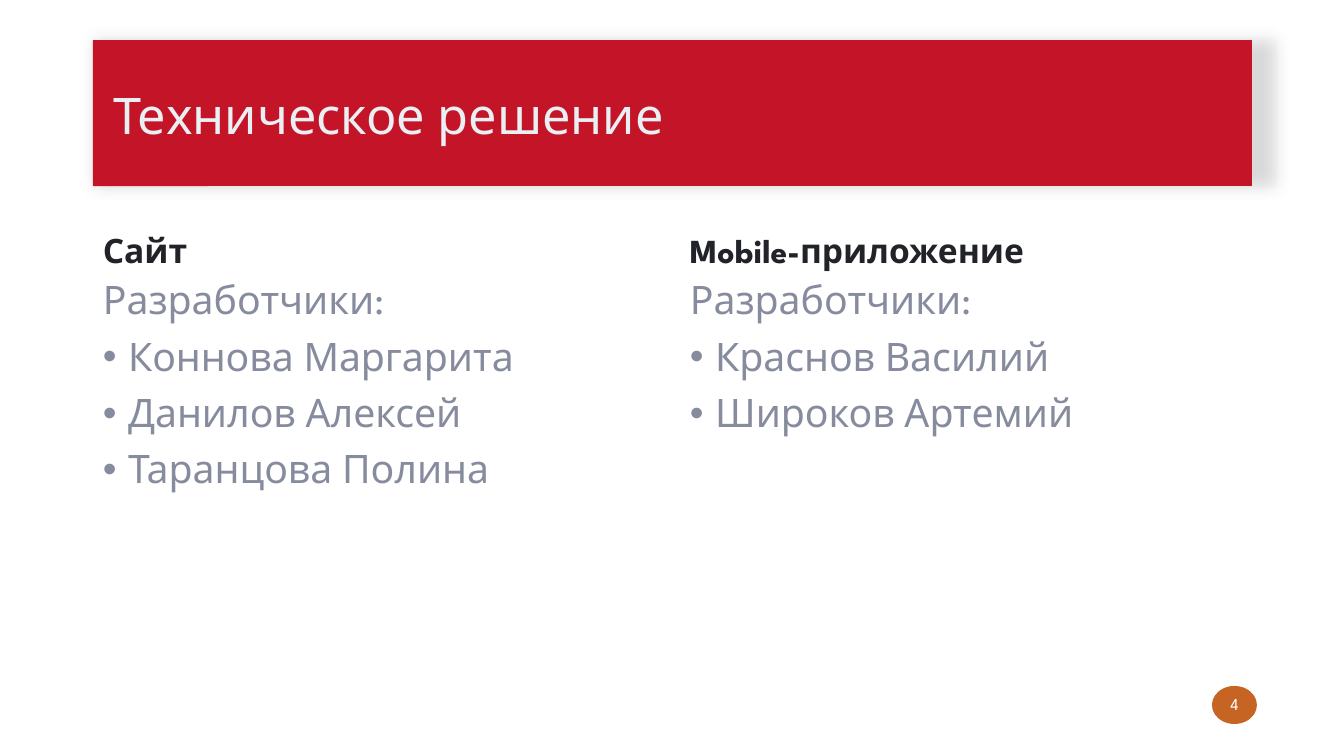
from dataclasses import dataclass

from lxml.etree import SubElement
from pptx import Presentation
from pptx.dml.color import RGBColor
from pptx.enum.shapes import MSO_SHAPE as Kind
from pptx.enum.text import MSO_ANCHOR as Anchor, PP_ALIGN as Align
from pptx.oxml.ns import qn
from pptx.shapes.autoshape import Shape
from pptx.slide import Slide
from pptx.util import Emu, Pt

RED = RGBColor(0xC3, 0x15, 0x27)
ORANGE = RGBColor(0xC6, 0x64, 0x23)
PALE = RGBColor(0xEA, 0xEF, 0xF3)
DARK = RGBColor(0x21, 0x23, 0x29)
GRAY = RGBColor(0x86, 0x8C, 0x9E)
WHITE = RGBColor(0xFF, 0xFF, 0xFF)
FONT = "League Spartan"


@dataclass
class Box:
    x: int
    y: int
    w: int
    h: int


@dataclass
class Team:
    x: int
    w: int
    name: str
    people: list[str]


TEAMS = [
    Team(93, 569, "Сайт", ["Коннова Маргарита", "Данилов Алексей", "Таранцова Полина"]),
    Team(680, 572, "Mobile-приложение", ["Краснов Василий", "Широков Артемий"]),
]


def px(n: int) -> Emu:
    return Emu(round(n * 914400 / 100.8))


def place(box: Box) -> list[Emu]:
    return [px(n) for n in (box.x, box.y, box.w, box.h)]


def write(shape: Shape, lines: list[str], size: int, color: RGBColor,
          anchor: Anchor, align: Align = Align.LEFT, bold: bool = False) -> None:
    frame = shape.text_frame
    frame.word_wrap = True
    frame.vertical_anchor = anchor
    frame.text = "\n".join(lines)
    for i, para in enumerate(frame.paragraphs):
        para.alignment = align
        para.line_spacing = 0.9
        if i:
            para.space_before = Pt(10)
            props = para._p.get_or_add_pPr()
            props.set("marL", "228600")
            props.set("indent", "-228600")
            SubElement(props, qn("a:buFont")).set("typeface", "Arial")
            SubElement(props, qn("a:buChar")).set("char", "•")
        for run in para.runs:
            run.font.name = FONT
            run.font.size = Pt(size)
            run.font.bold = bold
            run.font.color.rgb = color


def add_form(slide: Slide, kind: Kind, box: Box, fill: RGBColor) -> Shape:
    shape = slide.shapes.add_shape(kind, *place(box))
    shape.shadow.inherit = False
    shape.fill.solid()
    shape.fill.fore_color.rgb = fill
    shape.line.fill.background()
    return shape


def add_shade(shape: Shape) -> None:
    effects = shape._element.spPr.find(qn("a:effectLst"))
    shade = SubElement(effects, qn("a:outerShdw"), blurRad=str(Pt(12)), dist="0",
                       dir="0", sx="102000", algn="l", rotWithShape="0")
    color = SubElement(shade, qn("a:srgbClr"), val="000000")
    SubElement(color, qn("a:alpha"), val="14000")


def add_title(slide: Slide) -> None:
    title = add_form(slide, Kind.ROUNDED_RECTANGLE, Box(93, 40, 1159, 146), RED)
    title.adjustments[0] = 0.005
    add_shade(title)
    frame = title.text_frame
    frame.margin_left, frame.margin_right = px(20), px(10)
    frame.margin_top, frame.margin_bottom = px(50), px(40)
    write(title, ["Техническое решение"], 36, PALE, Anchor.MIDDLE)


def add_team(slide: Slide, team: Team) -> None:
    head = slide.shapes.add_textbox(*place(Box(team.x, 185, team.w, 91)))
    write(head, [team.name], 24, DARK, Anchor.BOTTOM, bold=True)
    body = slide.shapes.add_textbox(*place(Box(team.x, 276, team.w, 406)))
    write(body, ["Разработчики:", *team.people], 28, GRAY, Anchor.TOP)


def add_page(slide: Slide) -> None:
    page = add_form(slide, Kind.FLOWCHART_CONNECTOR, Box(1212, 686, 45, 38), ORANGE)
    write(page, ["4"], 12, WHITE, Anchor.MIDDLE, Align.CENTER)
    page.text_frame.paragraphs[0].space_after = Pt(6)


def main() -> None:
    deck = Presentation()
    deck.slide_width, deck.slide_height = px(1344), px(756)
    slide = deck.slides.add_slide(deck.slide_layouts[6])
    add_title(slide)
    for team in TEAMS:
        add_team(slide, team)
    add_page(slide)
    deck.save("out.pptx")


if __name__ == "__main__":
    main()
